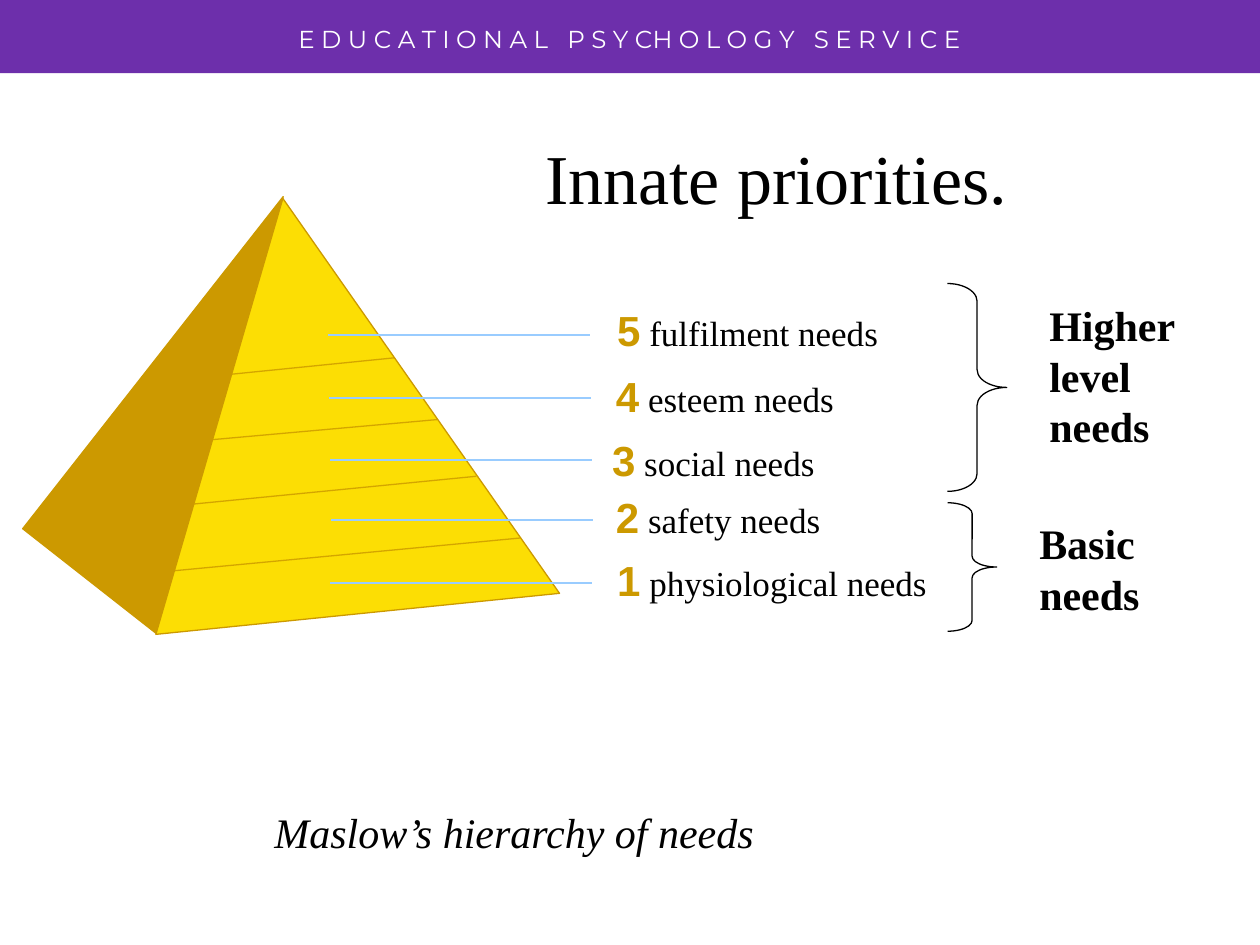
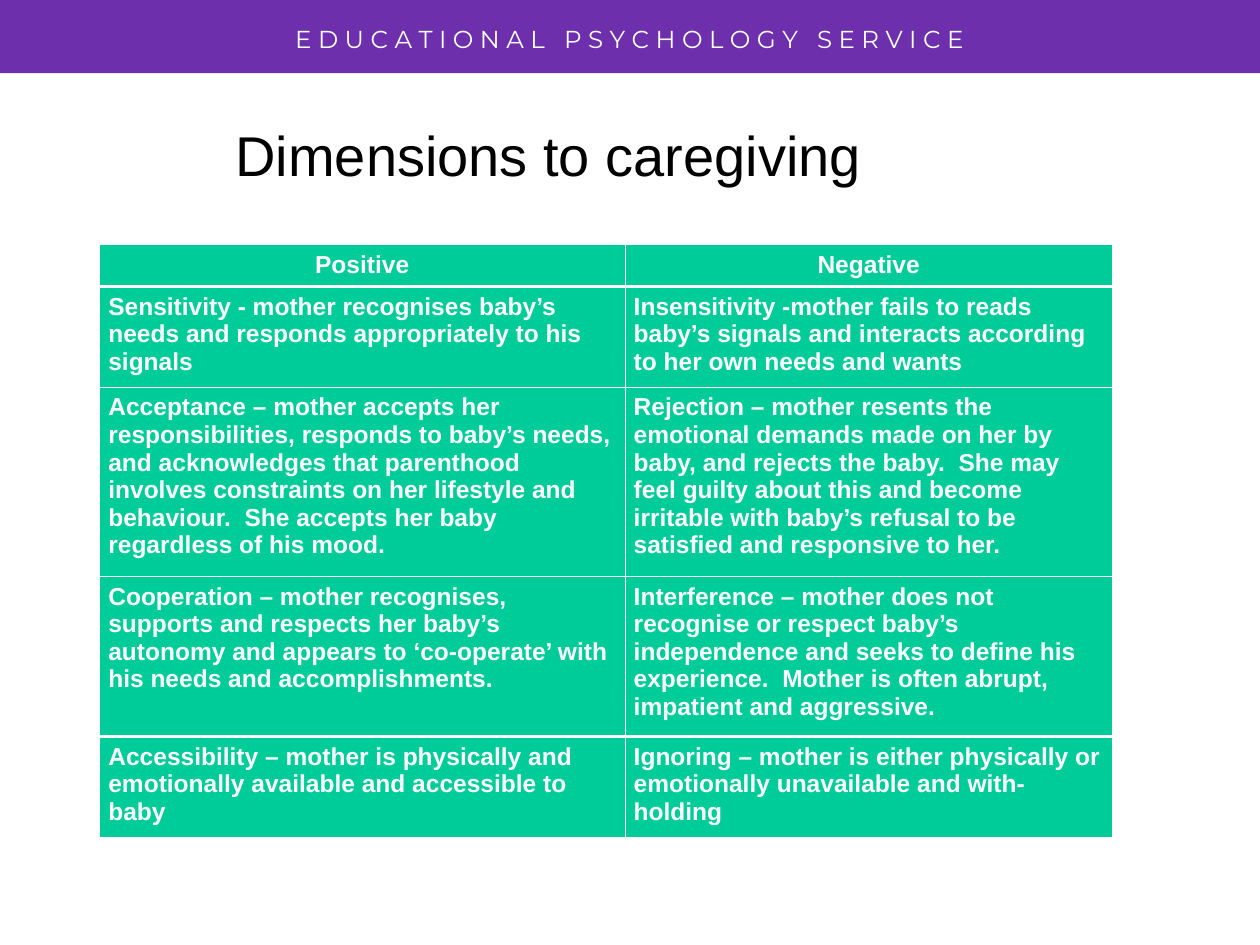
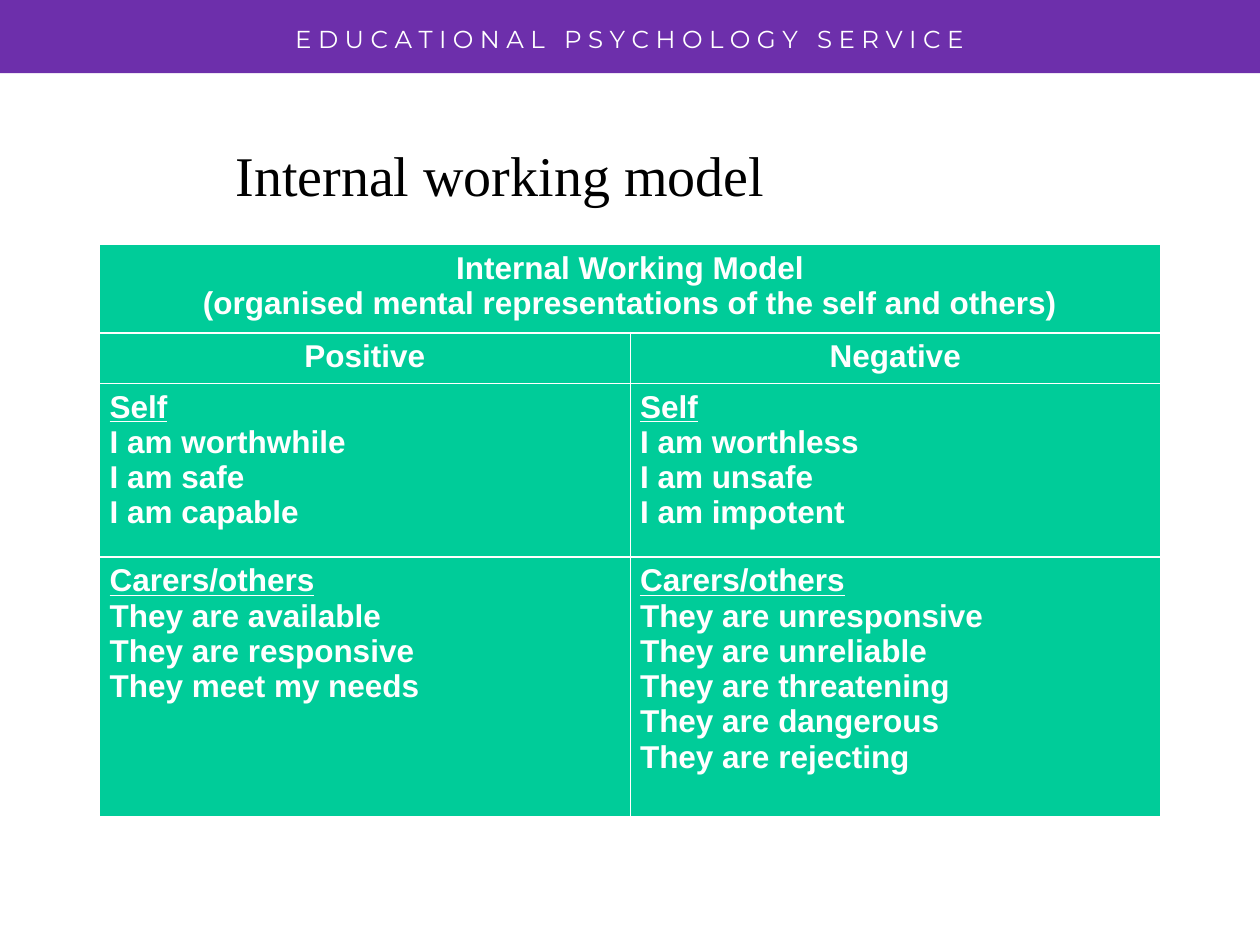
from dataclasses import dataclass

from lxml.etree import SubElement
from pptx import Presentation
from pptx.dml.color import RGBColor as RGB
from pptx.enum.shapes import MSO_CONNECTOR as Connector, MSO_SHAPE as Shape
from pptx.enum.text import MSO_ANCHOR as Anchor, PP_ALIGN as Align
from pptx.oxml.ns import qn
from pptx.util import Inches, Pt


@dataclass(frozen=True)
class Theme:
    purple: str = "6D2FAB"
    green: str = "00CC99"
    gold: str = "CC9900"
    yellow: str = "FCDE04"
    sky: str = "99CCFF"
    white: str = "FFFFFF"
    black: str = "000000"
    sans: str = "Arial"
    serif: str = "Times New Roman"
    banner_font: str = "Montserrat"
    banner_size: int = 14
    main_title_size: int = 40
    title_size: int = 32
    label_size: int = 24
    need_size: int = 20
    leading: float = 1.2
    thin: float = 0.45
    thick: float = 1.47
    outline: float = 0.75
    pointer: float = 1.25


THEME = Theme()
BANNER = "E D U C A T I O N A L   P S Y C H O L O G Y   S E R V I C E"
BANNER_TIGHT = "E D U C A T I O N A L   P S Y CH O L O G Y   S E R V I C E"

# Division lines on the pyramid face: start and end points
DIVISIONS = [
    ((1.38, 4.53), (4.13, 4.27)),
    ((1.54, 4.00), (3.78, 3.78)),
    ((1.68, 3.49), (3.47, 3.33)),
    ((1.84, 2.97), (3.13, 2.84)),
]

# Needs from the top: number, wording, pointer start, label position
POINTER_LENGTH = 2.08
NEEDS = [
    ("5", "fulfilment needs", (2.60, 2.66), (4.80, 2.41)),
    ("4", "esteem needs", (2.61, 3.16), (4.79, 2.93)),
    ("3", "social needs", (2.62, 3.65), (4.76, 3.44)),
    ("2", "safety needs", (2.63, 4.13), (4.79, 3.89)),
    ("1", "physiological needs", (2.62, 4.63), (4.80, 4.39)),
]

# Need groups: wording, label box, brace box, brace curl
NEED_GROUPS = [
    ("Higher level needs", (8.23, 2.33, 1.34, 1.3), (7.52, 2.25, 0.47, 1.65), 0.3),
    ("Basic needs", (8.15, 4.06, 1.26, 0.9), (7.52, 3.99, 0.39, 1.02), 0.22),
]

CAREGIVING = [
    ("Positive", "Negative"),
    ("Sensitivity - mother recognises baby’s needs and responds "
     "appropriately to his signals",
     "Insensitivity -mother fails to reads baby’s signals and interacts "
     "according to her own needs and wants"),
    ("Acceptance – mother accepts her responsibilities, responds to baby’s "
     "needs, and acknowledges that parenthood involves constraints on her "
     "lifestyle and behaviour.  She accepts her baby regardless of his mood.",
     "Rejection – mother resents the emotional demands made on her by baby, "
     "and rejects the baby.  She may feel guilty about this and become "
     "irritable with baby’s refusal to be satisfied and responsive to her."),
    ("Cooperation – mother recognises, supports and respects her baby’s "
     "autonomy and appears to ‘co-operate’ with his needs and "
     "accomplishments.",
     "Interference – mother does not recognise or respect baby’s independence "
     "and seeks to define his experience.  Mother is often abrupt, impatient "
     "and aggressive."),
    ("Accessibility – mother is physically and emotionally available and "
     "accessible to baby",
     "Ignoring – mother is either physically or emotionally unavailable and "
     "with-holding"),
]

WORKING_MODEL = [
    ("Internal Working Model\n"
     "(organised mental representations of the self and others)", ""),
    ("Positive", "Negative"),
    ("Self\nI am worthwhile\nI am safe\nI am capable",
     "Self\nI am worthless\nI am unsafe\nI am impotent"),
    ("Carers/others\nThey are available\nThey are responsive\n"
     "They meet my needs",
     "Carers/others\nThey are unresponsive\nThey are unreliable\n"
     "They are threatening\nThey are dangerous\nThey are rejecting"),
]


def inches(values):
    return [Inches(value) for value in values]


def set_font(font, face, size, color, bold=False, italic=False):
    font.name, font.size = face, Pt(size)
    font.bold, font.italic = bold, italic
    font.color.rgb = RGB.from_string(color)


def add_text_box(slide, box, leading, align=Align.LEFT, anchor=Anchor.TOP):
    """Add an empty wrapped box and return its first paragraph."""
    frame = slide.shapes.add_textbox(*inches(box)).text_frame
    frame.word_wrap = True
    frame.vertical_anchor = anchor
    paragraph = frame.paragraphs[0]
    paragraph.alignment = align
    paragraph.line_spacing = Pt(leading)
    return paragraph


def add_label(slide, text, box, face, size, color=THEME.black,
              bold=False, italic=False, **placing):
    paragraph = add_text_box(slide, box, size * THEME.leading, **placing)
    paragraph.text = text
    set_font(paragraph.font, face, size, color, bold, italic)


def add_shape(slide, kind, box, fill=None, line=None, adjust=None, rotation=0):
    shape = slide.shapes.add_shape(kind, *inches(box))
    shape.shadow.inherit = False
    shape.rotation = rotation
    if adjust is not None:
        shape.adjustments[0] = adjust
    if fill:
        shape.fill.solid()
        shape.fill.fore_color.rgb = RGB.from_string(fill)
    else:
        shape.fill.background()
    if line:
        shape.line.color.rgb = RGB.from_string(line)
        shape.line.width = Pt(THEME.outline)
    else:
        shape.line.fill.background()


def add_line(slide, start, end, color, width, opacity=None):
    connector = slide.shapes.add_connector(
        Connector.STRAIGHT, *inches(start), *inches(end))
    connector.line.color.rgb = RGB.from_string(color)
    connector.line.width = Pt(width)
    properties = connector.element.spPr
    if opacity:
        tint = properties.find(".//" + qn("a:srgbClr"))
        SubElement(tint, qn("a:alpha"), val=str(opacity * 1000))
    SubElement(properties, qn("a:effectLst"))


def add_need(slide, number, wording, pointer, position):
    x, y = pointer
    add_line(slide, pointer, (x + POINTER_LENGTH, y), THEME.sky, THEME.pointer)
    leading = THEME.label_size * THEME.leading * 0.9
    paragraph = add_text_box(slide, (*position, 3.29, 0.46), leading)
    digit, need = paragraph.add_run(), paragraph.add_run()
    digit.text, need.text = number, " " + wording
    set_font(digit.font, THEME.sans, THEME.label_size, THEME.gold, bold=True)
    set_font(need.font, THEME.serif, THEME.need_size, THEME.black)


def set_borders(cell, above, below):
    properties = cell._tc.get_or_add_tcPr()
    widths = {"lnL": THEME.thin, "lnR": THEME.thin, "lnT": above, "lnB": below}
    for side, width in widths.items():
        line = SubElement(properties, qn("a:" + side), w=str(Pt(width)))
        fill = SubElement(line, qn("a:solidFill"))
        SubElement(fill, qn("a:srgbClr"), val=THEME.white)


def fill_cell(cell, text, size, margin, centred, underline_first):
    cell.fill.solid()
    cell.fill.fore_color.rgb = RGB.from_string(THEME.green)
    cell.margin_left = cell.margin_right = Inches(margin)
    cell.text = text
    for index, paragraph in enumerate(cell.text_frame.paragraphs):
        paragraph.alignment = Align.CENTER if centred else Align.LEFT
        set_font(paragraph.font, THEME.sans, size, THEME.white, bold=True)
        if underline_first and index == 0:
            paragraph.font.underline = True


def add_comparison(slide, rows, widths, heights, size, margin,
                   heavy_below, header_rows=1, underline_first=False):
    """Add a two-column table; heavy_below lists rows with a thick lower rule."""
    box = (0.79, 1.94, sum(widths), sum(heights))
    table = slide.shapes.add_table(
        len(rows), len(widths), *inches(box)).table
    table.first_row = table.horz_banding = False
    for column, width in zip(table.columns, widths):
        column.width = Inches(width)
    for r, (texts, height) in enumerate(zip(rows, heights)):
        table.rows[r].height = Inches(height)
        above, below = (THEME.thick if edge in heavy_below else THEME.thin
                        for edge in (r - 1, r))
        header = r < header_rows
        for c, text in enumerate(texts):
            cell = table.cell(r, c)
            set_borders(cell, above, below)
            fill_cell(cell, text, size, margin, header,
                      underline_first and not header)
    return table


def new_slide(deck, banner=BANNER):
    slide = deck.slides.add_slide(deck.slide_layouts[6])
    add_shape(slide, Shape.RECTANGLE, (0, 0, 10, 0.58), THEME.purple)
    add_label(slide, banner, (0, 0.14, 10, 0.34), THEME.banner_font,
              THEME.banner_size, THEME.white, align=Align.CENTER)
    return slide


def build_priorities(deck):
    slide = new_slide(deck, BANNER_TIGHT)
    centred = {"align": Align.CENTER, "anchor": Anchor.MIDDLE}

    # Pyramid: shaded side, then bright face
    add_shape(slide, Shape.ISOSCELES_TRIANGLE, (1.07, 1.62, 1.35, 3.35),
              THEME.gold, THEME.gold, adjust=0, rotation=38.1)
    add_shape(slide, Shape.ISOSCELES_TRIANGLE, (1.06, 1.54, 3.22, 3.34),
              THEME.yellow, THEME.gold, adjust=0.42, rotation=354.2)
    add_label(slide, "Innate priorities. ", (3.19, 0.94, 6.08, 0.92),
              THEME.serif, THEME.main_title_size, **centred)
    for start, end in DIVISIONS:
        add_line(slide, start, end, THEME.gold, THEME.outline, opacity=82)

    # Needs and their groups
    for need in NEEDS:
        add_need(slide, *need)
    for wording, label_box, brace_box, curl in NEED_GROUPS:
        add_shape(slide, Shape.RIGHT_BRACE, brace_box,
                  line=THEME.black, adjust=curl)
        add_label(slide, wording, label_box, THEME.serif,
                  THEME.label_size, bold=True)

    # Caption
    add_label(slide, "Maslow’s hierarchy of needs", (1.04, 6.14, 6.08, 0.92),
              THEME.serif, THEME.label_size, italic=True, **centred)


def build_caregiving(deck):
    slide = new_slide(deck)
    add_label(slide, "Dimensions to caregiving", (1.77, 0.91, 5.67, 0.64),
              THEME.sans, THEME.title_size)
    add_comparison(slide, CAREGIVING, (4.17, 3.87), (0.33, 0.8, 1.5, 1.27, 0.8),
                   size=14, margin=0.07, heavy_below=(0, 3))


def build_working_model(deck):
    slide = new_slide(deck)
    add_label(slide, "Internal working model", (1.77, 1.07, 5.67, 0.64),
              THEME.serif, THEME.title_size)
    table = add_comparison(
        slide, WORKING_MODEL, (4.21, 4.21), (0.7, 0.4, 1.38, 2.06), size=18,
        margin=0.08, heavy_below=(0, 2), header_rows=2, underline_first=True)
    table.cell(0, 0).merge(table.cell(0, 1))


def main():
    deck = Presentation()
    deck.slide_width, deck.slide_height = Inches(10), Inches(7.5)
    build_priorities(deck)
    build_caregiving(deck)
    build_working_model(deck)
    deck.save("out.pptx")


if __name__ == "__main__":
    main()
